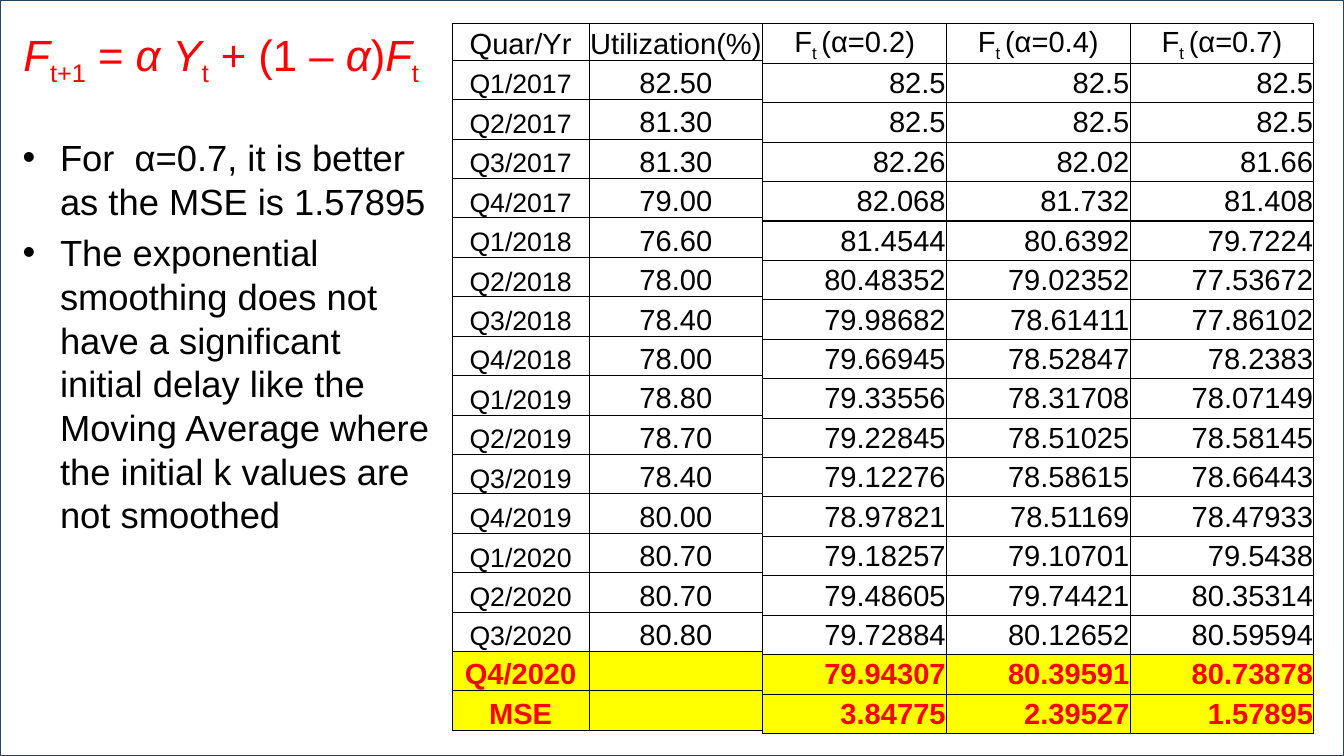
"""Build the exponential smoothing slide with its utilization and forecast tables."""
from lxml import etree
from pptx import Presentation
from pptx import util as u
from pptx.dml.color import RGBColor
from pptx.enum import shapes, text
from pptx.oxml import ns

BLACK = RGBColor(0x00, 0x00, 0x00)
WHITE = RGBColor(0xFF, 0xFF, 0xFF)
RED = RGBColor(0xFF, 0x00, 0x00)
YELLOW = RGBColor(0xFF, 0xFF, 0x00)
NAVY = RGBColor(0x28, 0x44, 0x5D)
CENTER, RIGHT = text.PP_ALIGN.CENTER, text.PP_ALIGN.RIGHT
BOTTOM, MIDDLE = text.MSO_ANCHOR.BOTTOM, text.MSO_ANCHOR.MIDDLE

TABLE_TOP, TABLE_HEIGHT, HEADER_HEIGHT = 0.27, 8.1, 0.42
FORECAST_LEFT, FORECAST_WIDTH = 8.74, 2.105

quarters = [f"Q{quarter}/{year}" for year in range(2017, 2021) for quarter in range(1, 5)]
utilization = ("82.50 81.30 81.30 79.00 76.60 78.00 78.40 78.00 "
               "78.80 78.70 78.40 80.00 80.70 80.70 80.80").split()
forecasts = {
    "0.2": "82.5 82.5 82.26 82.068 81.4544 80.48352 79.98682 79.66945 79.33556 "
           "79.22845 79.12276 78.97821 79.18257 79.48605 79.72884 79.94307 3.84775",
    "0.4": "82.5 82.5 82.02 81.732 80.6392 79.02352 78.61411 78.52847 78.31708 "
           "78.51025 78.58615 78.51169 79.10701 79.74421 80.12652 80.39591 2.39527",
    "0.7": "82.5 82.5 81.66 81.408 79.7224 77.53672 77.86102 78.2383 78.07149 "
           "78.58145 78.66443 78.47933 79.5438 80.35314 80.59594 80.73878 1.57895",
}


def add_span(para, words, size, color=BLACK, bold=False, italic=False, lowered=False):
    span = para.add_run()
    span.text = words
    span.font.name = "Arial"
    span.font.size = u.Pt(size)
    span.font.color.rgb = color
    span.font.bold = bold
    span.font.italic = italic
    if lowered:
        span.font._element.set("baseline", "-25000")


def add_grid(page, left, widths, columns):
    count = len(columns[0])
    frame = page.shapes.add_table(count, len(widths), u.Inches(left), u.Inches(TABLE_TOP),
                                  u.Inches(sum(widths)), u.Inches(TABLE_HEIGHT))
    grid = frame.table
    grid.first_row = grid.horz_banding = False
    for column, width in zip(grid.columns, widths):
        column.width = u.Inches(width)
    for index, row in enumerate(grid.rows):
        body_height = (TABLE_HEIGHT - HEADER_HEIGHT) / (count - 1)
        row.height = u.Inches(body_height if index else HEADER_HEIGHT)
        summary = index >= count - 2
        for cell, (kind, *_), words in zip(row.cells, columns, [c[index] for c in columns]):
            props = cell._tc.get_or_add_tcPr()
            for side in ("lnL", "lnR", "lnT", "lnB"):
                edge = etree.SubElement(props, ns.qn(f"a:{side}"), w=str(u.Pt(1)))
                paint = etree.SubElement(edge, ns.qn("a:solidFill"))
                etree.SubElement(paint, ns.qn("a:srgbClr"), val=str(BLACK))
            if summary:
                cell.fill.solid()
                cell.fill.fore_color.rgb = YELLOW
            else:
                cell.fill.background()
            is_label = kind == "Quar/Yr"
            is_forecast = kind.startswith("(α")
            inset = u.Inches(0.01 if index and not is_label else 0)
            cell.margin_left = cell.margin_right = cell.margin_top = inset
            cell.margin_bottom = 0
            cell.vertical_anchor = MIDDLE if index and is_forecast else BOTTOM
            para = cell.text_frame.paragraphs[0]
            para.alignment = RIGHT if index and is_forecast else CENTER
            if not index or (summary if is_label else not is_forecast):
                para.line_spacing = 1.07
                para.space_after = u.Pt(8)
            if not words:
                continue
            if not index and is_forecast:
                add_span(para, "F", 24)
                add_span(para, "t ", 24, lowered=True)
            size = 22 if is_label and index and not summary else 24
            add_span(para, words, size, RED if summary else BLACK, bold=summary)


deck = Presentation()
deck.slide_width, deck.slide_height = u.Inches(15.4), u.Inches(8.66)
page = deck.slides.add_slide(deck.slide_layouts[6])

backdrop = page.shapes.add_shape(shapes.MSO_SHAPE.RECTANGLE, 0, 0,
                                 deck.slide_width, deck.slide_height)
backdrop.shadow.inherit = False
backdrop.fill.solid()
backdrop.fill.fore_color.rgb = WHITE
backdrop.line.color.rgb = NAVY
backdrop.line.width = u.Pt(1)

add_grid(page, 5.18, [1.57, 1.99], [["Quar/Yr", *quarters, "MSE"],
                                    ["Utilization(%)", *utilization, "", ""]])
for position, (alpha, values) in enumerate(forecasts.items()):
    add_grid(page, FORECAST_LEFT + position * FORECAST_WIDTH, [FORECAST_WIDTH],
             [[f"(α={alpha})", *values.split()]])

formula = page.shapes.add_textbox(u.Inches(0.17), u.Inches(0.27), u.Inches(5.11), u.Inches(0.71))
formula.text_frame.word_wrap = True
para = formula.text_frame.paragraphs[0]
for words, style in (("F", "italic"), ("t+1", "lowered"), (" = ", "bold"), ("α Y", "italic"),
                     ("t", "lowered"), (" + (1 – ", "plain"), ("α", "italic"), (")", "plain"),
                     ("F", "italic"), ("t", "lowered")):
    add_span(para, words, 36, RED, italic=style == "italic", lowered=style == "lowered")

findings = page.shapes.add_textbox(u.Inches(0.16), u.Inches(1.5), u.Inches(4.86), u.Inches(6.28))
findings.text_frame.word_wrap = True
for index, words in enumerate((
        "For  α=0.7, it is better as the MSE is 1.57895",
        "The exponential smoothing does not have a significant initial delay like the "
        "Moving Average where the initial k values are not smoothed")):
    para = findings.text_frame.add_paragraph() if index else findings.text_frame.paragraphs[0]
    props = para._p.get_or_add_pPr()
    props.set("marL", str(u.Inches(0.43)))
    props.set("indent", str(-u.Inches(0.43)))
    tint = etree.SubElement(props, ns.qn("a:buClr"))
    etree.SubElement(tint, ns.qn("a:srgbClr"), val=str(BLACK))
    etree.SubElement(props, ns.qn("a:buFont"), typeface="Arial")
    etree.SubElement(props, ns.qn("a:buChar"), char="•")
    para.space_before = u.Pt(6.5 if index else 0)
    add_span(para, words, 30)

deck.save("out.pptx")
